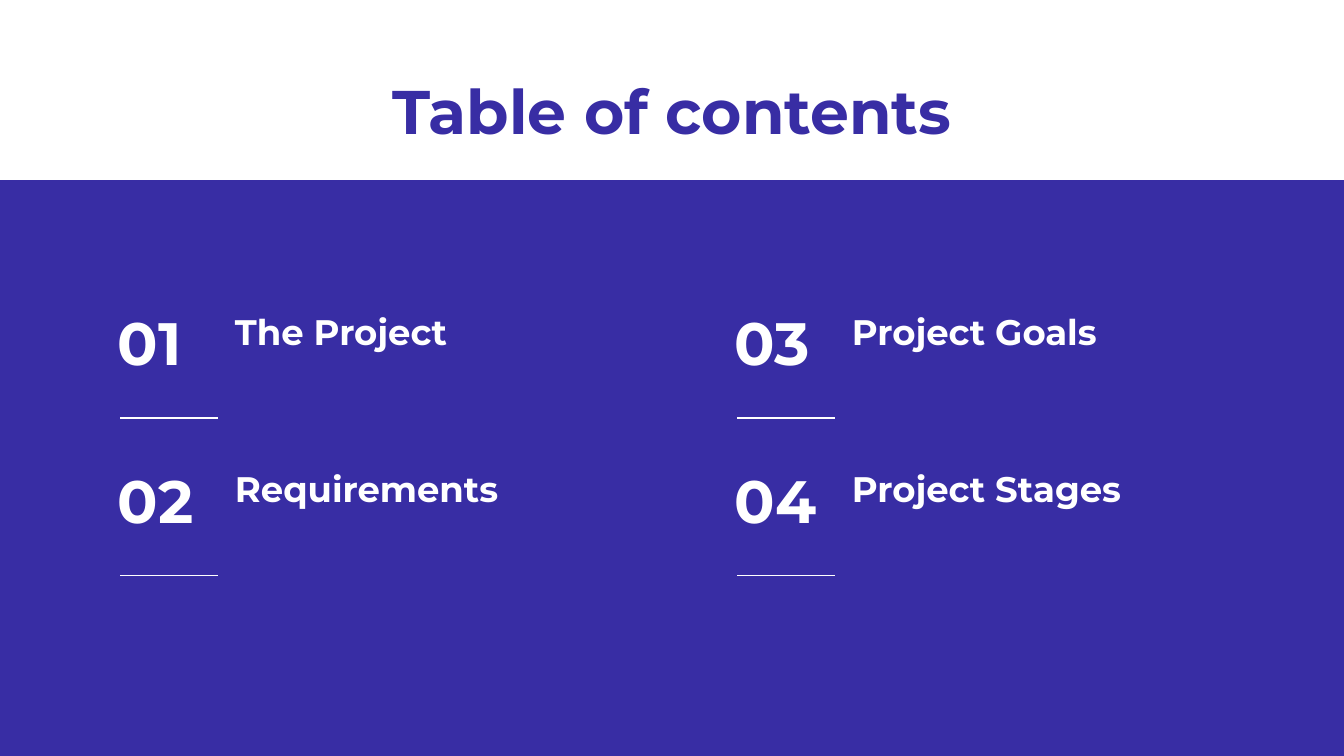
from pptx import Presentation
from pptx.dml.color import RGBColor
from pptx.enum.shapes import MSO_CONNECTOR, MSO_SHAPE
from pptx.enum.text import MSO_ANCHOR, MSO_AUTO_SIZE, PP_ALIGN
from pptx.util import Inches, Pt
from lxml.etree import SubElement
from pptx.oxml.ns import qn

COLORS = {"indigo": "382DA4", "white": "FFFFFF"}
FONT = "Montserrat"
WIDTH = 10
HEIGHT = WIDTH * 9 / 16
PANEL_TOP = 1.34

# Grid of entries: origin, pitch, and rows filled down each column
GRID_LEFT, GRID_TOP = 0.78, 2.23
COLUMN_PITCH, ROW_PITCH = 4.59, 1.17
ROWS = 2
BOX_HEIGHT = 0.63
SECTIONS = ["The Project", "Requirements", "Project Goals", "Project Stages"]


def color(name):
    return RGBColor.from_string(COLORS[name])


def write(box, text, size, ink, align=PP_ALIGN.LEFT, anchor=MSO_ANCHOR.MIDDLE):
    frame = box.text_frame
    frame.text = text
    frame.word_wrap = True
    frame.auto_size = MSO_AUTO_SIZE.NONE
    frame.vertical_anchor = anchor
    frame.margin_left = frame.margin_right = Inches(0.1)
    frame.margin_top = frame.margin_bottom = Inches(0.1)
    paragraph = frame.paragraphs[0]
    paragraph.alignment = align
    font = paragraph.runs[0].font
    font.name, font.size, font.bold = FONT, Pt(size), True
    font.color.rgb = color(ink)


def add_panel(slide):
    panel = slide.shapes.add_shape(
        MSO_SHAPE.RECTANGLE, 0, Inches(PANEL_TOP),
        Inches(WIDTH), Inches(HEIGHT - PANEL_TOP))
    panel.shadow.inherit = False
    panel.fill.solid()
    panel.fill.fore_color.rgb = color("indigo")
    panel.line.fill.background()


def add_title(slide, text):
    title = slide.shapes.title
    title.left, title.top = Inches(0.79), Inches(0.44)
    title.width, title.height = Inches(8.42), Inches(BOX_HEIGHT)
    write(title, text, 33, "indigo", PP_ALIGN.CENTER, MSO_ANCHOR.TOP)


def add_label(slide, text, left, top, width, size):
    label = slide.shapes.add_textbox(
        Inches(left), Inches(top), Inches(width), Inches(BOX_HEIGHT))
    write(label, text, size, "white")


def add_rule(slide, left, top, width):
    rule = slide.shapes.add_connector(
        MSO_CONNECTOR.STRAIGHT, Inches(left + width), Inches(top),
        Inches(left), Inches(top))
    rule.line.color.rgb = color("white")
    rule.line.width = Pt(0.75)
    SubElement(rule._element.spPr, qn("a:effectLst"))


def add_entry(slide, index, section):
    column, row = divmod(index, ROWS)
    left = GRID_LEFT + column * COLUMN_PITCH
    top = GRID_TOP + row * ROW_PITCH
    add_label(slide, section, left + 0.87, top - 0.08, 2.98, 19)
    add_label(slide, f"{index + 1:02}", left, top, 0.94, 32)
    add_rule(slide, left + 0.11, top + 0.88, 0.73)


def main():
    prs = Presentation()
    prs.slide_width, prs.slide_height = Inches(WIDTH), Inches(HEIGHT)
    slide = prs.slides.add_slide(prs.slide_layouts[5])

    # Heading and background panel
    add_panel(slide)
    add_title(slide, "Table of contents")

    # Numbered sections
    for index, section in enumerate(SECTIONS):
        add_entry(slide, index, section)

    prs.save("out.pptx")


if __name__ == "__main__":
    main()
